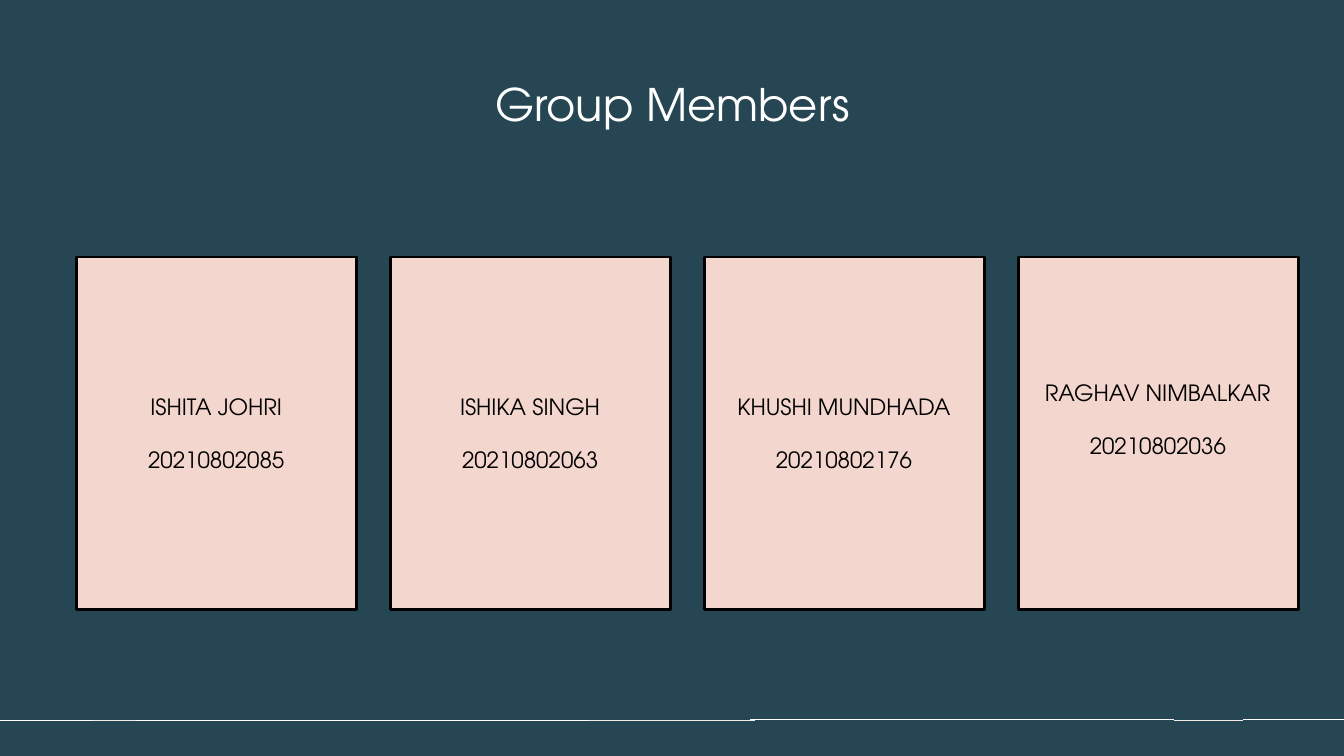
import pptx
import pptx.util
import pptx.dml.color
import pptx.enum.shapes
import pptx.enum.text
import lxml.etree

Inches, Pt = pptx.util.Inches, pptx.util.Pt
FONT = "TeX Gyre Adventor"
MEMBERS = [
    ("ISHITA JOHRI", "20210802085"),
    ("ISHIKA SINGH", "20210802063"),
    ("KHUSHI MUNDHADA", "20210802176"),
    ("RAGHAV NIMBALKAR", "20210802036"),
]
CARD_LEFT, CARD_TOP, CARD_WIDTH, CARD_HEIGHT = 0.76, 2.55, 2.78, 3.5
CARD_PITCH = 3.113
NAME_DROP, LAST_NAME_DROP = 1.3, 1.16
# Footer rule: x start, x end, y
MAIN_RULES = [(0, 0.92, 7.15), (1.32, 5.87, 7.15), (7.44, 11.64, 7.14), (12.33, 13.33, 7.14)]
JOINING_RULES = [(0.92, 1.35, 7.15), (5.84, 7.49, 7.15), (11.64, 12.33, 7.15)]


def color(value):
    return pptx.dml.color.RGBColor.from_string(value)


def add_text(s, box, lines, size, hue):
    tb = s.shapes.add_textbox(*(Inches(v) for v in box))
    tf = tb.text_frame
    tf.word_wrap = True
    tf.vertical_anchor = pptx.enum.text.MSO_ANCHOR.TOP
    tf.margin_left = tf.margin_right = Inches(0.05)
    tf.text = "\n".join(lines)
    for p in tf.paragraphs:
        p.alignment = pptx.enum.text.PP_ALIGN.CENTER
        for r in p.runs:
            r.font.name = FONT
            r.font.size = Pt(size)
            r.font.color.rgb = color(hue)
    return tf


def add_card(s, left, top, width, height, member, drop):
    card = s.shapes.add_shape(pptx.enum.shapes.MSO_SHAPE.RECTANGLE,
                              *(Inches(v) for v in (left, top, width, height)))
    card.shadow.inherit = False
    card.fill.solid()
    card.fill.fore_color.rgb = color("F3D6CD")
    card.line.color.rgb = color("000000")
    card.line.width = Pt(2)
    tf = add_text(s, (left + 0.15, top + drop, width - 0.31, 1.45), member, 16, "000000")
    for p in tf.paragraphs:
        p.line_spacing = Pt(19)
    tf.paragraphs[-1].space_before = Pt(19)


def add_rules(s, rules, hue, weight):
    for start, end, y in rules:
        line = s.shapes.add_connector(pptx.enum.shapes.MSO_CONNECTOR.STRAIGHT,
                                      Inches(start), Inches(y), Inches(end), Inches(y))
        line.line.color.rgb = color(hue)
        line.line.width = Pt(weight)
        lxml.etree.SubElement(line._element.spPr, pptx.oxml.ns.qn("a:effectLst"))


def build_members_slide(prs):
    s = prs.slides.add_slide(prs.slide_layouts[6])
    s.background.fill.solid()
    s.background.fill.fore_color.rgb = color("264653")
    # Title
    add_text(s, (1.25, 0.71, 10.84, 0.96), ["Group Members"], 32, "FFFFFF")
    # Member cards
    for i, member in enumerate(MEMBERS):
        drop = LAST_NAME_DROP if i == len(MEMBERS) - 1 else NAME_DROP
        add_card(s, CARD_LEFT + i * CARD_PITCH, CARD_TOP, CARD_WIDTH, CARD_HEIGHT, member, drop)
    # Footer line
    add_rules(s, MAIN_RULES, "FFFFFF", 1)
    add_rules(s, JOINING_RULES, "F3EBE8", 0.5)


def main():
    prs = pptx.Presentation()
    prs.slide_width, prs.slide_height = Inches(13.33), Inches(7.5)
    build_members_slide(prs)
    prs.save("out.pptx")


if __name__ == "__main__":
    main()
